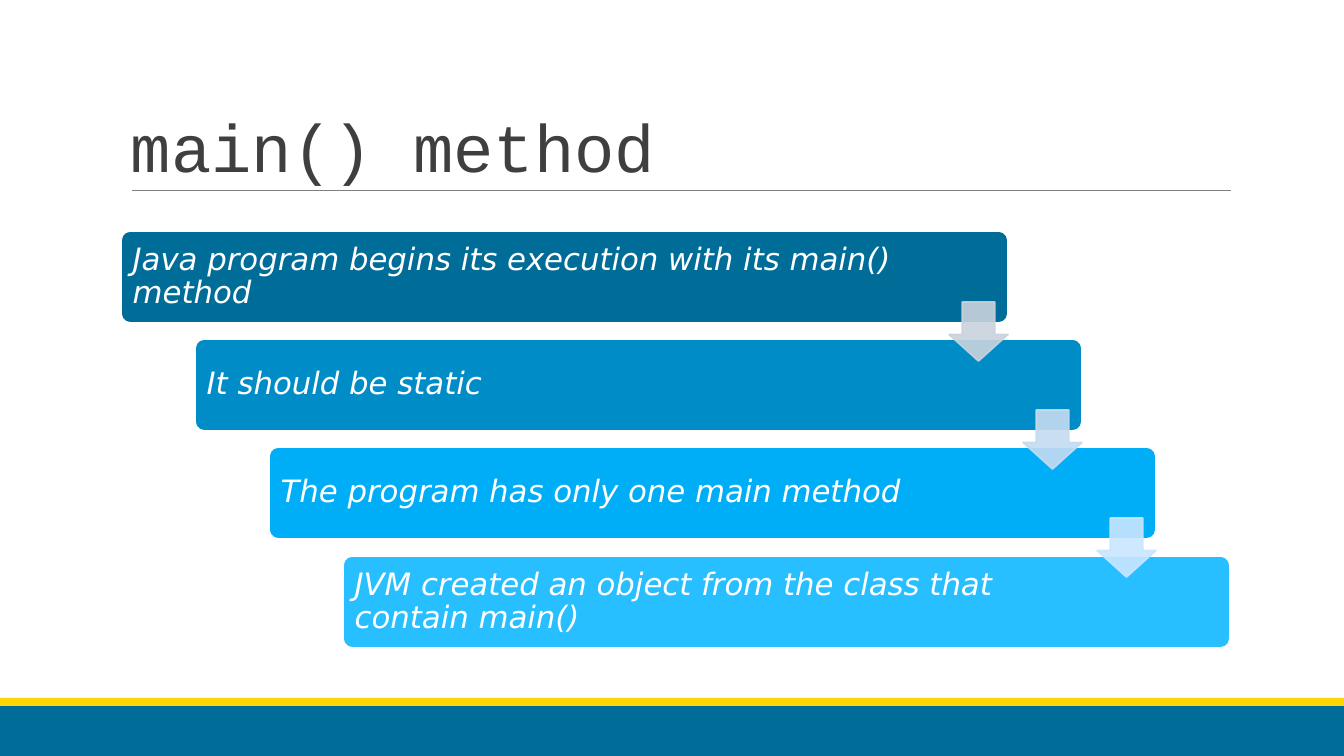
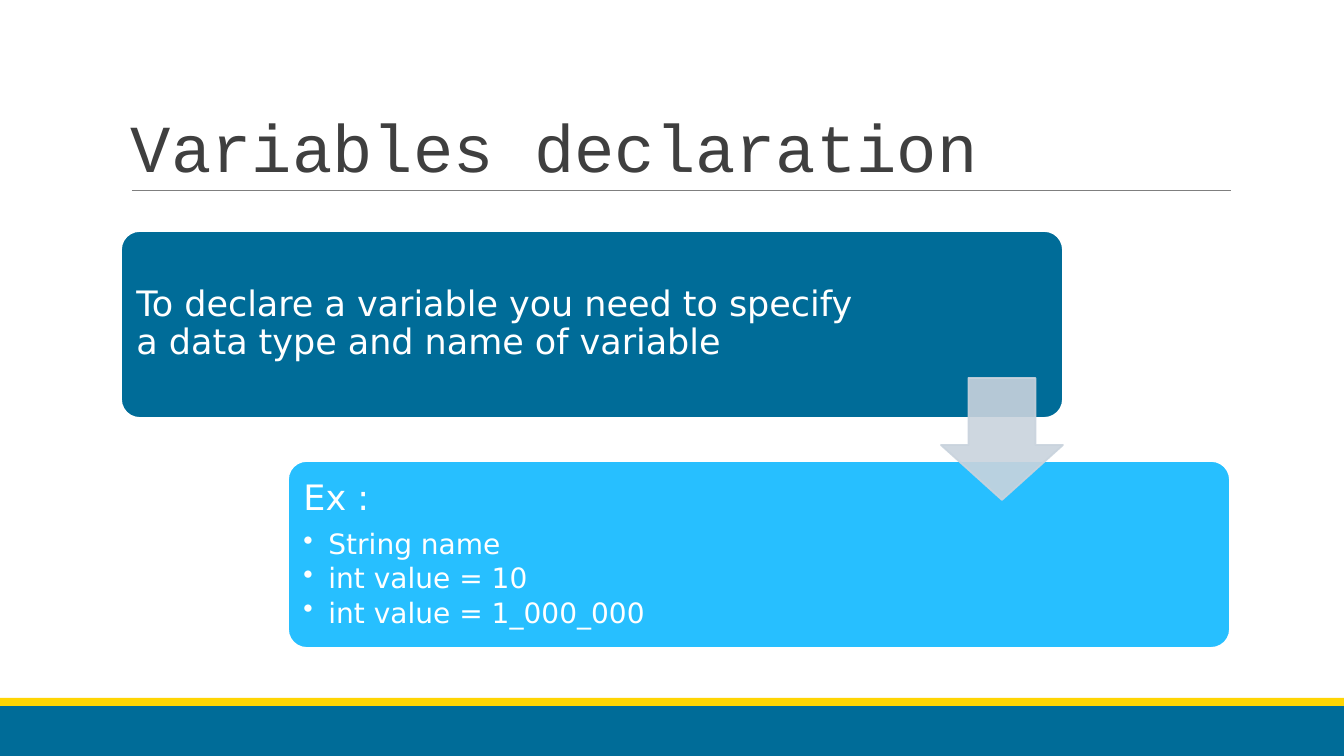
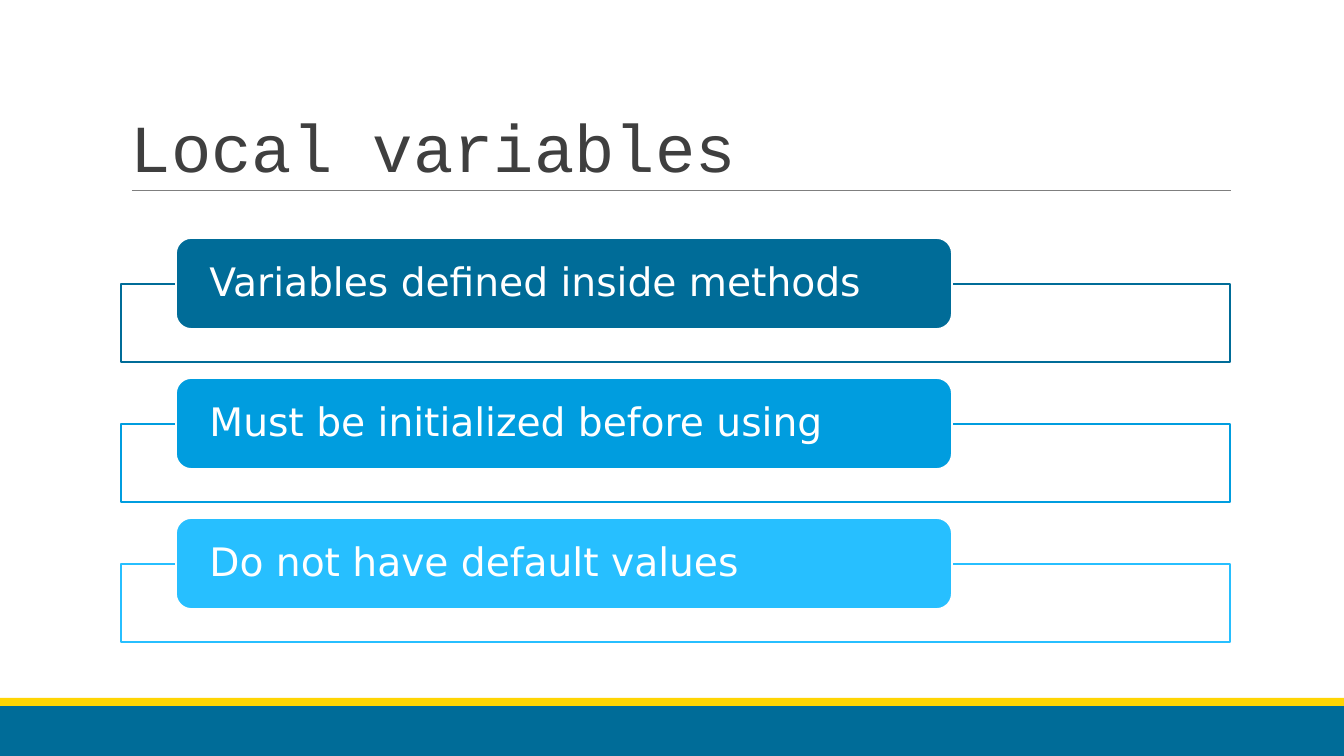
from lxml import etree
from pptx import Presentation
from pptx.dml.color import RGBColor
from pptx.enum.shapes import MSO_CONNECTOR, MSO_SHAPE
from pptx.enum.text import MSO_ANCHOR, MSO_AUTO_SIZE, PP_ALIGN
from pptx.oxml.ns import qn
from pptx.util import Emu, Pt

RECTANGLE = MSO_SHAPE.RECTANGLE
ROUNDED = MSO_SHAPE.ROUNDED_RECTANGLE
DOWN_ARROW = MSO_SHAPE.DOWN_ARROW
STRAIGHT = MSO_CONNECTOR.STRAIGHT
BOTTOM = MSO_ANCHOR.BOTTOM
MIDDLE = MSO_ANCHOR.MIDDLE
LEFT = PP_ALIGN.LEFT
NO_AUTOFIT = MSO_AUTO_SIZE.NONE

WHITE = RGBColor(0xFF, 0xFF, 0xFF)
NAVY = RGBColor(0x00, 0x6C, 0x98)
OCEAN = RGBColor(0x00, 0x8C, 0xC7)
AZURE = RGBColor(0x00, 0x9D, 0xDF)
BRIGHT = RGBColor(0x00, 0xAE, 0xF7)
SKY = RGBColor(0x27, 0xBF, 0xFF)
YELLOW = RGBColor(0xFF, 0xD5, 0x03)
INK = RGBColor(0x3F, 0x3F, 0x3F)
GREY = RGBColor(0x7F, 0x7F, 0x7F)
PALE_GREY = RGBColor(0xC9, 0xD3, 0xDD)
PALE_BLUE = RGBColor(0xC5, 0xDB, 0xF1)
PALE_SKY = RGBColor(0xC8, 0xE6, 0xFF)

TITLE_FONT = "Courier New"
BODY_FONT = "DejaVu Sans"
WIDTH, HEIGHT = 1344, 756
SCALE = 12192000 / WIDTH
BODY_LEFT, BODY_TOP, BODY_WIDTH, BODY_HEIGHT = 121, 231, 1109, 417


def px(length):
    """Turn pixels into EMU."""
    return Emu(round(length * SCALE))


class Lesson:
    """Hold the shared style and the slide being filled."""

    def __init__(self):
        """Start an empty widescreen deck."""
        self.deck = Presentation()
        self.deck.slide_width = px(WIDTH)
        self.deck.slide_height = px(HEIGHT)
        self.page = None

    def start(self, title):
        """Add a slide with its bands, rule and title."""
        self.page = self.deck.slides.add_slide(self.deck.slide_layouts[5])
        self.shape(RECTANGLE, (0, 706, WIDTH, 50), NAVY)
        self.shape(RECTANGLE, (0, 698, WIDTH, 8), YELLOW)
        self.rule(132, 191, 1231)
        box = self.page.shapes.title
        box.left, box.top, box.width, box.height = map(px, (BODY_LEFT, 31, BODY_WIDTH, 160))
        self.set_text(box, [(title, 48)], (10, 5, 10, 5), font=TITLE_FONT, color=INK,
                      anchor=BOTTOM, spacing=0.85)

    def shape(self, kind, place, fill, line=None, adjustments=()):
        """Add a filled preset shape."""
        shape = self.page.shapes.add_shape(kind, *map(px, place))
        shape.shadow.inherit = False
        for index, value in enumerate(adjustments):
            shape.adjustments[index] = value
        shape.fill.solid()
        shape.fill.fore_color.rgb = fill
        if line is None:
            shape.line.fill.background()
        else:
            shape.line.color.rgb = line
            shape.line.width = Pt(1.25)
        return shape

    def rule(self, left, top, right):
        """Draw the thin line under the title."""
        line = self.page.shapes.add_connector(STRAIGHT, px(left), px(top), px(right), px(top))
        line.line.color.rgb = GREY
        line.line.width = Pt(0.75)
        etree.SubElement(line._element.spPr, qn("a:effectLst"))

    def arrow(self, left, top, size, color):
        """Add a slightly transparent down arrow."""
        arrow = self.shape(DOWN_ARROW, (left, top, size, size), color, color, (0.55, 0.45))
        for tone in arrow._element.spPr.iter(qn("a:srgbClr")):
            etree.SubElement(tone, qn("a:alpha"), val="90000")

    def bullet(self, paragraph):
        """Give a paragraph a hanging bullet."""
        properties = paragraph._p.get_or_add_pPr()
        properties.set("marL", str(px(25)))
        properties.set("indent", str(-px(25)))
        etree.SubElement(properties, qn("a:buChar"), char="•")

    def set_text(self, box, lines, insets, font=BODY_FONT, color=WHITE, anchor=MIDDLE,
                 spacing=0.9, italic=False):
        """Fill a box with (text, size) lines, bulleted where a space before is added."""
        frame = box.text_frame
        frame.word_wrap = True
        frame.auto_size = NO_AUTOFIT
        frame.vertical_anchor = anchor
        (frame.margin_left, frame.margin_top,
         frame.margin_right, frame.margin_bottom) = map(px, insets)
        frame.text = "\n".join(line[0] for line in lines)
        for paragraph, (_, size, *before) in zip(frame.paragraphs, lines):
            if before:
                self.bullet(paragraph)
                paragraph.space_before = Pt(before[0])
            paragraph.alignment = LEFT
            paragraph.line_spacing = spacing
            for span in paragraph.runs:
                span.font.name = font
                span.font.size = Pt(size)
                span.font.italic = italic
                span.font.color.rgb = color

    def cascade(self, steps, width, height, inset, arrow_size, arrow_colors, italic=False):
        """Spread step boxes diagonally over the body, with arrows across the gaps."""
        last = len(steps) - 1
        places = [(BODY_LEFT + (BODY_WIDTH - width) * index // last,
                   BODY_TOP + (BODY_HEIGHT - height) * index // last)
                  for index in range(len(steps))]
        for (left, top), (lines, fill, right_inset) in zip(places, steps):
            box = self.shape(ROUNDED, (left, top, width, height), fill, WHITE, (0.1,))
            self.set_text(box, lines, (inset, inset, right_inset, inset), italic=italic)
        for (left, top), (_, next_top), color in zip(places, places[1:], arrow_colors):
            middle = (top + height + next_top) // 2
            self.arrow(left + width - arrow_size, middle - arrow_size // 2, arrow_size, color)

    def framed_labels(self, labels):
        """Stack labels, each over the top edge of an outlined frame."""
        for index, (text, color) in enumerate(labels):
            top = 238 + 140 * index
            self.shape(RECTANGLE, (BODY_LEFT, top + 46, BODY_WIDTH, 78), WHITE, color)
            label = self.shape(ROUNDED, (176, top, 776, 91), color, WHITE, (0.17,))
            self.set_text(label, [(text, 28)], (29, 0, 29, 0))


def main():
    """Build and save the deck."""
    lesson = Lesson()

    lesson.start("main() method")
    lesson.cascade([
        ([("Java program begins its execution with its main() method", 22)], NAVY, 110),
        ([("It should be static", 22)], OCEAN, 143),
        ([("The program has only one main method", 22)], BRIGHT, 143),
        ([("JVM created an object from the class that contain main()", 22)], SKY, 143),
    ], 887, 92, 9, 59, (PALE_GREY, PALE_BLUE, PALE_SKY), italic=True)

    lesson.start("Variables declaration")
    lesson.cascade([
        ([("To declare a variable you need to specify a data type and name of variable", 25)],
         NAVY, 194),
        ([("Ex :", 25), ("String name", 20, 8.8), ("int value = 10", 20, 3),
          ("int value = 1_000_000", 20, 3)], SKY, 299),
    ], 942, 187, 10, 122, (PALE_GREY,))

    lesson.start("Local variables")
    lesson.framed_labels([
        ("Variables defined inside methods", NAVY),
        ("Must be initialized before using", AZURE),
        ("Do not have default values", SKY),
    ])

    lesson.deck.save("out.pptx")


if __name__ == "__main__":
    main()
